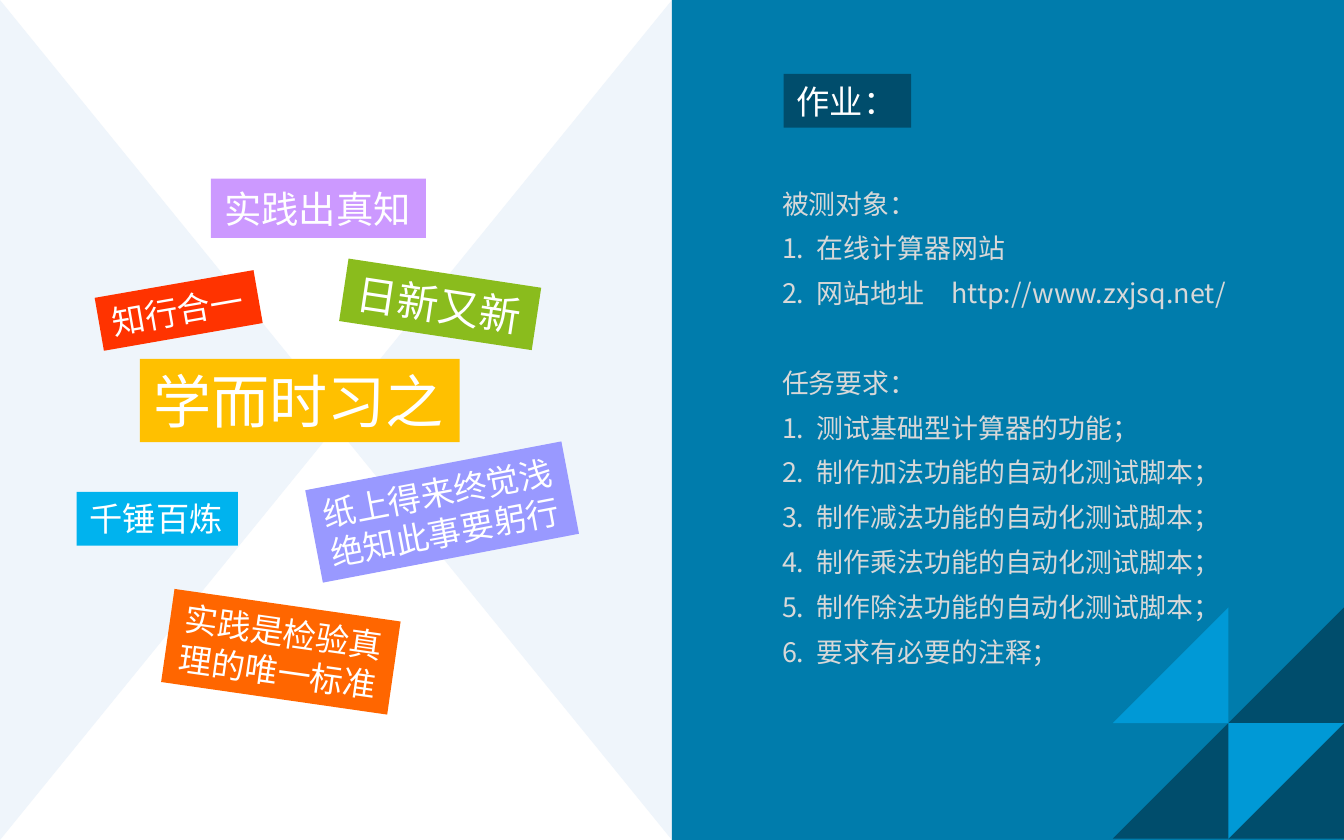
from dataclasses import dataclass

from lxml.etree import SubElement
from pptx import Presentation
from pptx.dml.color import RGBColor
from pptx.enum.shapes import MSO_SHAPE
from pptx.enum.text import MSO_ANCHOR, PP_ALIGN
from pptx.oxml.ns import qn
from pptx.util import Inches, Pt

COLUMNS, ROWS = 100, 62.5
CELL = Inches(10) / COLUMNS


@dataclass(frozen=True)
class Theme:
    font: str = "Noto Sans CJK KR"
    white: str = "FFFFFF"
    pale: str = "EFF5FB"
    panel: str = "007CAC"
    dark: str = "004D6C"
    light: str = "0099D6"
    body: str = "D8D8D8"
    body_size: float = 14.4
    label_size: float = 17.8
    medium_size: float = 20
    large_size: float = 22.2
    hero_size: float = 31.1
    line_gap: float = 6.7
    section_gap: float = 24.1


THEME = Theme()

# text, left, top, width, height, rotation, fill, size, alignment
LABELS = [
    ("千锤百炼", 5.7, 36.6, 12, 4, 0, "00B3EE", THEME.label_size, PP_ALIGN.LEFT),
    ("学而时习之", 10.4, 26.7, 23.8, 6.2, 0, "FFC000", THEME.hero_size, PP_ALIGN.LEFT),
    ("知行合一", 7.3, 21.1, 12, 4, -9.9, "FF3300", THEME.label_size, PP_ALIGN.LEFT),
    ("日新又新", 25.5, 20.3, 14.5, 4.7, 8.6, "8ABC1D", THEME.large_size, PP_ALIGN.LEFT),
    ("纸上得来终觉浅\n绝知此事要躬行", 23.2, 34.6, 19.4, 7, -10.8, "9999FF",
     THEME.label_size, PP_ALIGN.LEFT),
    ("实践是检验真\n理的唯一标准", 12.4, 45, 17, 7, 8.2, "FF6600",
     THEME.label_size, PP_ALIGN.CENTER),
    ("实践出真知", 15.7, 13.3, 16, 4.4, 0, "CC99FF", THEME.medium_size, PP_ALIGN.LEFT),
    ("作业：", 58.3, 5.5, 9.5, 4, 0, THEME.dark, THEME.label_size, PP_ALIGN.LEFT),
]

SECTIONS = [
    ("被测对象：", ["在线计算器网站", "网站地址\thttp://www.zxjsq.net/"]),
    ("任务要求：", [
        "测试基础型计算器的功能；",
        *(f"制作{operation}法功能的自动化测试脚本；" for operation in "加减乘除"),
        "要求有必要的注释；",
    ]),
]


def cells(*counts):
    return [round(count * CELL) for count in counts]


def add_block(slide, kind, place, fill, rotation=0):
    """Add a plain filled shape; place is left, top, width, height in cells."""
    block = slide.shapes.add_shape(kind, *cells(*place))
    block.rotation = rotation
    block.shadow.inherit = False
    block.fill.solid()
    block.fill.fore_color.rgb = RGBColor.from_string(fill)
    block.line.fill.background()
    return block


def write(para, text, *, size, color, align=PP_ALIGN.LEFT, before=0, after=0):
    para.alignment = align
    para.space_before, para.space_after = Pt(before), Pt(after)
    span = para.add_run()
    span.text = text
    span.font.size = Pt(size)
    span.font.name = THEME.font
    span.font.color.rgb = RGBColor.from_string(color)
    SubElement(span.font._element, qn("a:ea"), typeface=THEME.font)


def next_para(frame):
    return frame.add_paragraph() if frame.paragraphs[0].runs else frame.paragraphs[0]


def add_label(slide, text, left, top, width, height, rotation, fill, size, align):
    label = add_block(slide, MSO_SHAPE.RECTANGLE, (left, top, width, height), fill, rotation)
    frame = label.text_frame
    frame.word_wrap = False
    frame.vertical_anchor = MSO_ANCHOR.MIDDLE
    for line in text.split("\n"):
        write(next_para(frame), line, size=size, color=THEME.white, align=align)


def set_tabs(para, hang, *stops):
    """Hang the paragraph after its number and set its tab stops, in cells."""
    properties = para._p.get_or_add_pPr()
    indent, *positions = cells(hang, *stops)
    properties.set("marL", str(indent))
    properties.set("indent", str(-indent))
    tabs = SubElement(properties, qn("a:tabLst"))
    for position in (indent, *positions):
        SubElement(tabs, qn("a:tab"), pos=str(position), algn="l")


def add_assignment(slide):
    box = slide.shapes.add_textbox(*cells(57.2, 13.45, 39.1, 37.7))
    frame = box.text_frame
    frame.word_wrap = True
    style = dict(size=THEME.body_size, color=THEME.body,
                 align=PP_ALIGN.JUSTIFY, after=THEME.line_gap)
    for index, (heading, items) in enumerate(SECTIONS):
        write(next_para(frame), heading, before=THEME.section_gap if index else 0, **style)
        for number, item in enumerate(items, 1):
            para = next_para(frame)
            set_tabs(para, 2.6, 11.5)
            write(para, f"{number}.\t{item}", **style)


def add_background(slide):
    depth = 25.4
    for center, rotation in ((depth / 2, 90), (COLUMNS / 2 - depth / 2, 270)):
        place = (center - ROWS / 2, (ROWS - depth) / 2, ROWS, depth)
        add_block(slide, MSO_SHAPE.ISOSCELES_TRIANGLE, place, THEME.pale, rotation)
    add_block(slide, MSO_SHAPE.RECTANGLE, (COLUMNS / 2, 0, COLUMNS / 2, ROWS), THEME.panel)


def add_corner(slide):
    side = 8.6
    left, top = COLUMNS - 2 * side, 45.2
    for step, span, fill, rotation in (
        (0, 2, THEME.dark, 270), (1, 1, THEME.light, 90), (0, 1, THEME.light, 270),
    ):
        place = (left + step * side, top + step * side, span * side, span * side)
        add_block(slide, MSO_SHAPE.RIGHT_TRIANGLE, place, fill, rotation)


def main():
    deck = Presentation()
    deck.slide_width, deck.slide_height = cells(COLUMNS, ROWS)
    slide = deck.slides.add_slide(deck.slide_layouts[6])
    add_background(slide)
    for label in LABELS:
        add_label(slide, *label)
    add_assignment(slide)
    add_corner(slide)
    deck.save("out.pptx")


if __name__ == "__main__":
    main()
